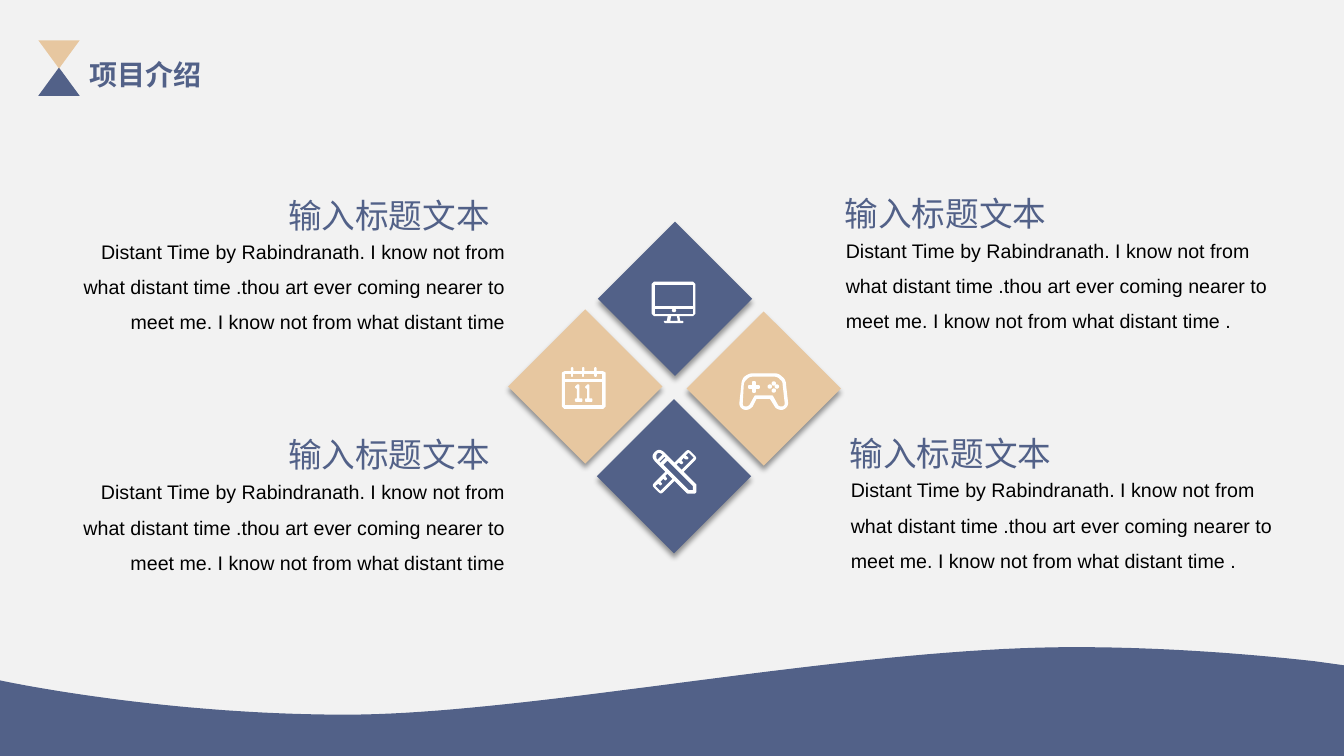
from dataclasses import dataclass

from lxml import etree
from pptx import Presentation
from pptx.dml.color import RGBColor
from pptx.enum.shapes import MSO_SHAPE
from pptx.enum.text import MSO_AUTO_SIZE, PP_ALIGN
from pptx.oxml.ns import qn
from pptx.util import Inches, Pt

TRIANGLE, DIAMOND, OVAL = MSO_SHAPE.ISOSCELES_TRIANGLE, MSO_SHAPE.DIAMOND, MSO_SHAPE.OVAL
LEFT, RIGHT, JUSTIFY = PP_ALIGN.LEFT, PP_ALIGN.RIGHT, PP_ALIGN.JUSTIFY
GROW = MSO_AUTO_SIZE.SHAPE_TO_FIT_TEXT


@dataclass(frozen=True)
class Theme:
    back: str = "F2F2F2"
    blue: str = "526188"
    sand: str = "E7C7A0"
    white: str = "FFFFFF"
    black: str = "000000"
    font: str = "Arial"
    title: int = 20
    head: int = 24
    body: int = 14


def trace(steps):
    points = [steps[0]]
    for step in steps[1:]:
        if len(step) == 2:
            points.append(step)
            continue
        x0, y0 = points[-1]
        x1, y1, x2, y2, x3, y3 = step
        count = 40 if abs(x3 - x0) > 1 else 6
        for i in range(1, count + 1):
            t = i / count
            a, b, c, d = (1 - t) ** 3, 3 * t * (1 - t) ** 2, 3 * t * t * (1 - t), t ** 3
            points.append((a * x0 + b * x1 + c * x2 + d * x3,
                           a * y0 + b * y1 + c * y2 + d * y3))
    return [(Inches(x), Inches(y)) for x, y in points]


def frame(left, top, right, bottom):
    return [(left, top), (right, top), (right, bottom), (left, bottom)]


def ticks(base, end):
    return [point for x in (5.67, 5.78, 5.9)
            for point in ((x, base), (x, end), (x + 0.01, end), (x + 0.01, base))]


class Deck:
    def __init__(self, theme):
        self.theme = theme
        self.show = Presentation()
        self.show.slide_width, self.show.slide_height = Inches(13.33), Inches(7.5)
        self.slide = self.show.slides.add_slide(self.show.slide_layouts[6])
        fill = self.slide.background.fill
        fill.solid()
        fill.fore_color.rgb = RGBColor.from_string(theme.back)

    def paint(self, shape, color, line):
        shape.shadow.inherit = False
        shape.fill.solid()
        shape.fill.fore_color.rgb = RGBColor.from_string(color)
        if line:
            shape.line.color.rgb = RGBColor.from_string(color)
            shape.line.width = Pt(line)
        else:
            shape.line.fill.background()
        return shape

    def shape(self, kind, left, top, width, height, color, line=0, turn=0):
        shape = self.slide.shapes.add_shape(
            kind, Inches(left), Inches(top), Inches(width), Inches(height))
        shape.rotation = turn
        return self.paint(shape, color, line)

    def tile(self, left, top, color):
        shape = self.shape(DIAMOND, left, top, 1.53, 1.53, color)
        effects = shape.element.spPr.find(qn("a:effectLst"))
        shade = etree.SubElement(effects, qn("a:outerShdw"), blurRad=str(Pt(4)),
                                 dist=str(Pt(3)), dir="5400000", rotWithShape="0")
        color = etree.SubElement(shade, qn("a:srgbClr"), val=self.theme.black)
        etree.SubElement(color, qn("a:alpha"), val="40000")

    def outline(self, *loops, color=None, line=1):
        first, *rest = [trace(loop) for loop in loops]
        pen = self.slide.shapes.build_freeform(*first[0], scale=1.0)
        pen.add_line_segments(first[1:], close=True)
        for loop in rest:
            pen.move_to(*loop[0])
            pen.add_line_segments(loop[1:], close=True)
        self.paint(pen.convert_to_shape(), color or self.theme.white, line)

    def text(self, words, left, top, width, height, *, size, color,
             align=LEFT, bold=False, space=1.0):
        box = self.slide.shapes.add_textbox(
            Inches(left), Inches(top), Inches(width), Inches(height))
        box.text_frame.word_wrap = True
        box.text_frame.auto_size = GROW
        para = box.text_frame.paragraphs[0]
        para.alignment, para.line_spacing = align, space
        run = para.add_run()
        run.text = words
        run.font.name, run.font.size, run.font.bold = self.theme.font, Pt(size), bold
        run.font.color.rgb = RGBColor.from_string(color)


def draw_tools(deck):
    deck.outline(
        [(6.89, 4.89), (6.9, 4.88), (6.9, 4.81), (6.77, 4.68), (6.89, 4.56),
         (6.9, 4.55, 6.9, 4.54, 6.89, 4.53), (6.84, 4.48),
         (6.83, 4.47, 6.82, 4.47, 6.81, 4.48), (6.69, 4.6), (6.58, 4.49),
         (6.57, 4.48, 6.55, 4.47, 6.54, 4.47), (6.52, 4.47, 6.51, 4.48, 6.5, 4.49),
         (6.49, 4.5, 6.48, 4.51, 6.48, 4.53), (6.48, 4.54, 6.49, 4.56, 6.5, 4.57),
         (6.61, 4.68), (6.49, 4.8), (6.48, 4.81, 6.48, 4.82, 6.49, 4.83),
         (6.54, 4.88), (6.55, 4.89, 6.56, 4.89, 6.57, 4.88), (6.69, 4.76), (6.82, 4.89)],
        [(6.73, 4.58), (6.76, 4.6), (6.77, 4.59), (6.75, 4.57), (6.78, 4.53),
         (6.8, 4.55), (6.82, 4.55), (6.82, 4.54), (6.79, 4.52), (6.83, 4.48),
         (6.89, 4.54), (6.76, 4.67), (6.7, 4.61)],
        [(6.51, 4.56), (6.5, 4.55, 6.5, 4.51, 6.51, 4.5),
         (6.52, 4.48, 6.55, 4.48, 6.57, 4.5), (6.58, 4.51), (6.52, 4.57)],
        [(6.53, 4.58), (6.59, 4.52), (6.61, 4.54), (6.55, 4.6)],
        [(6.55, 4.88), (6.49, 4.82), (6.53, 4.79), (6.55, 4.81), (6.56, 4.8),
         (6.54, 4.78), (6.58, 4.74), (6.6, 4.76), (6.61, 4.75), (6.59, 4.72),
         (6.62, 4.69), (6.68, 4.75)],
        [(6.88, 4.87), (6.83, 4.87), (6.57, 4.61), (6.62, 4.56), (6.88, 4.82)])


def draw_screen(deck):
    deck.outline(
        [(6.87, 2.8), (6.49, 2.8), (6.47, 2.82), (6.47, 3.11), (6.49, 3.13),
         (6.63, 3.13), (6.62, 3.19), (6.59, 3.19), (6.6, 3.2), (6.77, 3.2),
         (6.77, 3.19), (6.74, 3.19), (6.73, 3.13), (6.87, 3.13), (6.89, 3.11),
         (6.89, 2.82)],
        [(6.64, 3.19), (6.65, 3.13), (6.72, 3.13), (6.73, 3.19)],
        frame(6.49, 3.06, 6.88, 3.12), frame(6.49, 2.82, 6.88, 3.04))
    deck.shape(OVAL, 6.67, 3.07, 0.03, 0.02, deck.theme.white, 1)


def draw_dates(deck):
    deck.outline(
        [(5.58, 3.7), (5.6, 3.69), *ticks(3.69, 3.65), (5.98, 3.69), (6, 3.7),
         (6, 4.03), (5.98, 4.05), (5.6, 4.05), (5.58, 4.03)],
        frame(5.6, 3.78, 5.98, 4.03),
        [(5.6, 3.77), (5.6, 3.7), *ticks(3.7, 3.73), (5.98, 3.7), (5.98, 3.77)])
    digit = [(0, 0.16), (0.06, 0.16), (0.06, 0.14), (0.03, 0.14), (0.03, 0),
             (0.02, 0), (0, 0.02), (0.01, 0.03), (0.02, 0.03), (0.02, 0.14), (0, 0.14)]
    for left in (5.71, 5.81):
        deck.outline([(left + x, 3.82 + y) for x, y in digit])


def draw_game(deck):
    deck.outline(
        [(7.79, 3.82), (7.79, 3.79, 7.78, 3.76, 7.75, 3.74),
         (7.73, 3.72, 7.71, 3.71, 7.68, 3.71), (7.47, 3.71),
         (7.44, 3.71, 7.42, 3.72, 7.39, 3.74), (7.37, 3.76, 7.36, 3.79, 7.36, 3.82),
         (7.34, 4), (7.34, 4.03, 7.36, 4.06, 7.4, 4.06),
         (7.42, 4.06, 7.44, 4.05, 7.46, 4.03), (7.5, 3.95), (7.64, 3.95), (7.69, 4.03),
         (7.7, 4.05, 7.73, 4.06, 7.75, 4.06), (7.78, 4.06, 7.81, 4.03, 7.81, 4)],
        [(7.75, 4.04), (7.73, 4.04, 7.71, 4.03, 7.71, 4.02), (7.66, 3.93), (7.49, 3.93),
         (7.44, 4.02), (7.43, 4.03, 7.42, 4.04, 7.4, 4.04),
         (7.37, 4.04, 7.36, 4.03, 7.36, 4), (7.37, 3.82),
         (7.37, 3.79, 7.39, 3.77, 7.4, 3.76), (7.42, 3.74, 7.44, 3.73, 7.47, 3.73),
         (7.68, 3.73), (7.7, 3.73, 7.73, 3.74, 7.74, 3.76),
         (7.76, 3.77, 7.77, 3.79, 7.77, 3.82), (7.79, 4),
         (7.79, 4.03, 7.77, 4.04, 7.75, 4.04)])
    deck.outline([(7.47, 3.79), (7.49, 3.79), (7.49, 3.83), (7.53, 3.83), (7.53, 3.85),
                  (7.49, 3.85), (7.49, 3.89), (7.47, 3.89), (7.47, 3.85), (7.43, 3.85),
                  (7.43, 3.83), (7.47, 3.83)])
    for left, top in ((7.66, 3.79), (7.66, 3.86), (7.69, 3.82), (7.62, 3.82)):
        deck.shape(OVAL, left, top, 0.03, 0.03, deck.theme.white, 1)


def main():
    theme = Theme()
    deck = Deck(theme)
    deck.outline([(10.65, 6.42), (8.4, 6.42, 5.28, 7.09, 3.43, 7.09),
                  (1.57, 7.09, 0, 6.75, 0, 6.75), (0, 7.5), (13.33, 7.5), (13.33, 6.6),
                  (13.04, 6.56), (12.32, 6.48, 11.49, 6.42, 10.65, 6.42)],
                 color=theme.blue, line=0)
    deck.shape(TRIANGLE, 0.38, 0.67, 0.41, 0.28, theme.blue)
    deck.shape(TRIANGLE, 0.38, 0.4, 0.41, 0.28, theme.sand, turn=180)
    deck.text("项目介绍", 0.79, 0.52, 1.79, 0.44, size=theme.title, color=theme.blue,
              align=JUSTIFY, bold=True)

    for left, top, color in ((5.93, 2.2, theme.blue), (5.92, 3.96, theme.blue),
                             (5.04, 3.07, theme.sand), (6.81, 3.09, theme.sand)):
        deck.tile(left, top, color)
    for draw in (draw_tools, draw_screen, draw_dates, draw_game):
        draw(deck)

    words = ("Distant Time by Rabindranath. I know not from what distant time .thou art "
             "ever coming nearer to meet me. I know not from what distant time")
    for head, top, left, below, width, align, end in (
            (8.28, 1.86, 8.29, 2.2, 4.52, LEFT, " ."),
            (8.33, 4.25, 8.34, 4.58, 4.4, LEFT, " ."),
            (2.76, 4.26, 0.71, 4.6, 4.4, RIGHT, ""),
            (2.76, 1.88, 0.46, 2.21, 4.65, RIGHT, "")):
        deck.text("输入标题文本", head, top, 2.37, 0.5, size=theme.head,
                  color=theme.blue, align=JUSTIFY)
        deck.text(words + end, left, below, width, 1.12, size=theme.body,
                  color=theme.black, align=align, space=1.5)
    deck.show.save("out.pptx")


if __name__ == "__main__":
    main()
